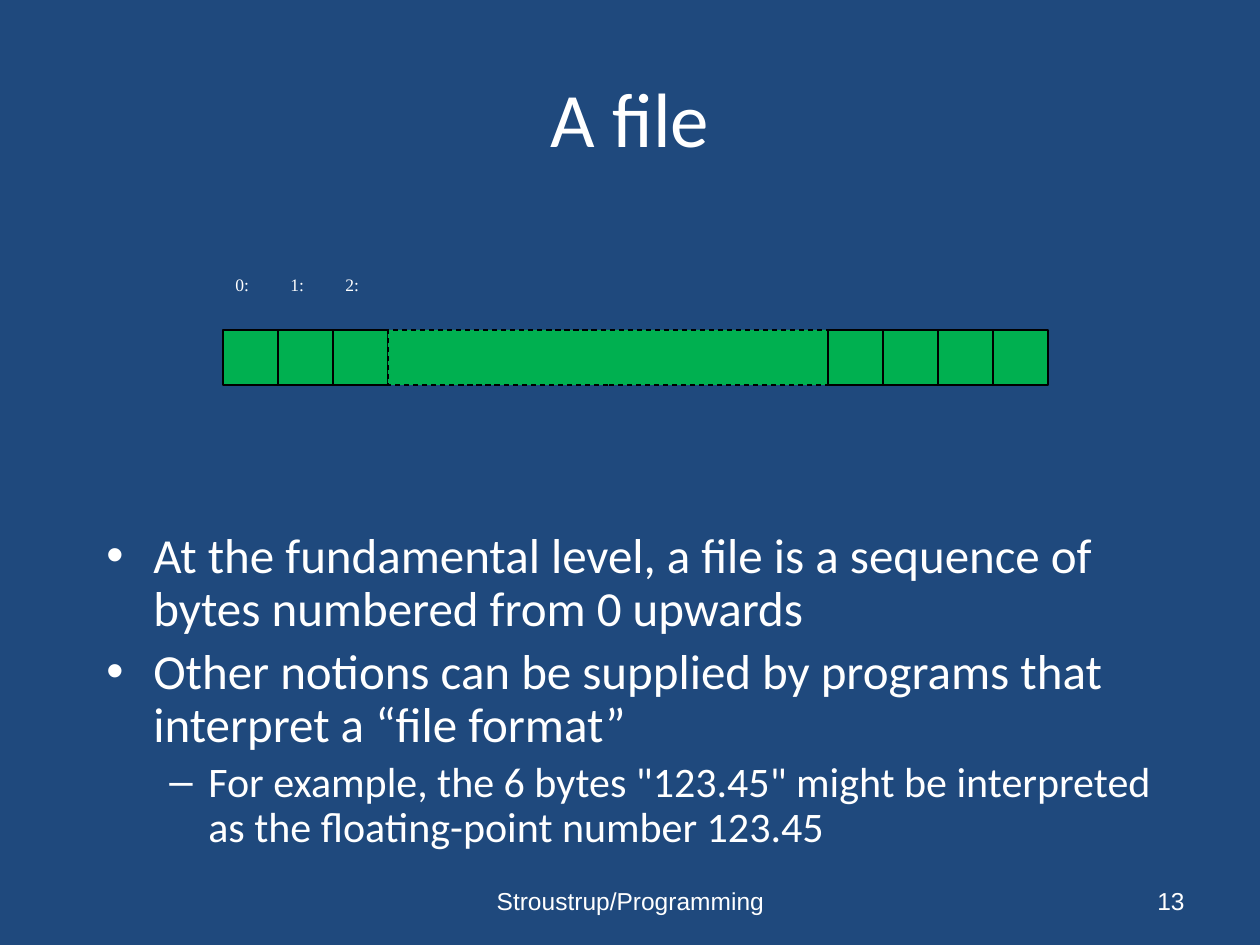
import pptx
import pptx.util
import pptx.dml.color
import pptx.enum.dml
import pptx.enum.shapes
import pptx.enum.text
import pptx.oxml
import pptx.oxml.ns

ALIGN = pptx.enum.text.PP_ALIGN
ANCHOR = pptx.enum.text.MSO_ANCHOR

# Content
TITLE = "A file"
BULLETS = [
    (0, "At the fundamental level, a file is a sequence of bytes numbered from 0 upwards"),
    (0, "Other notions can be supplied by programs that interpret a “file format”"),
    (1, "For example, the 6 bytes \"123.45\" might be interpreted "
        "as the floating-point number 123.45"),
]
BYTE_LABELS = ["0:", "1:", "2:"]
# Each part of the file: width in bytes, dashed outline
FILE_PARTS = [(1, False)] * 3 + [(8, True)] + [(1, False)] * 4
FOOTER = "Stroustrup/Programming"
PAGE_NUMBER = "13"

# Theme
THEME = {
    "background": "1F497D", "text": "FFFFFF", "byte": "00B050", "outline": "000000",
    "title": ("Calibri", 44), "label": ("Times New Roman", 10), "footer": ("Arial", 14),
    "levels": [
        {"font": ("Calibri", 28), "bullet": "•", "left": 47, "hanging": 47},
        {"font": ("Calibri", 24), "bullet": "–", "left": 102, "hanging": 39},
    ],
}

# Geometry in pixels
PIXELS_PER_INCH = 126
BYTE_SIZE = 55
FILE_LEFT, FILE_TOP = 223, 330
LABEL_TOP, LABEL_WIDTH = 268, 82


def px(length):
    return round(length * pptx.util.Inches(1) / PIXELS_PER_INCH)


def color(name):
    return pptx.dml.color.RGBColor.from_string(THEME[name])


def place(shape, area):
    shape.left, shape.top, shape.width, shape.height = map(px, area)


def write(para, text, font):
    span = para.add_run()
    span.text = text
    span.font.name, size = font
    span.font.size = pptx.util.Pt(size)
    span.font.color.rgb = color("text")


def add_text(area, text, font, align=ALIGN.LEFT, anchor=ANCHOR.TOP):
    box = page.shapes.add_textbox(*map(px, area))
    frame = box.text_frame
    frame.word_wrap = True
    frame.vertical_anchor = anchor
    frame.paragraphs[0].alignment = align
    write(frame.paragraphs[0], text, font)


def set_bullet(para, style):
    properties = para._p.get_or_add_pPr()
    properties.set("marL", str(px(style["left"])))
    properties.set("indent", str(-px(style["hanging"])))
    for tag, name, value in (("buFont", "typeface", "Arial"),
                             ("buChar", "char", style["bullet"])):
        item = pptx.oxml.parse_xml(f"<a:{tag} {pptx.oxml.ns.nsdecls('a')}/>")
        item.set(name, value)
        properties.append(item)


deck = pptx.Presentation()
deck.slide_width, deck.slide_height = px(1260), px(945)
page = deck.slides.add_slide(deck.slide_layouts[5])
page.background.fill.solid()
page.background.fill.fore_color.rgb = color("background")

# Title
title = page.shapes.title
place(title, (63, 38, 1134, 157))
title.text_frame.vertical_anchor = ANCHOR.MIDDLE
title.text_frame.paragraphs[0].alignment = ALIGN.CENTER
write(title.text_frame.paragraphs[0], TITLE, THEME["title"])

# Bullets
body = page.shapes.add_textbox(*map(px, (94, 525, 1072, 347))).text_frame
body.word_wrap = True
for index, (level, text) in enumerate(BULLETS):
    style = THEME["levels"][level]
    para = body.add_paragraph() if index else body.paragraphs[0]
    para.level = level
    para.line_spacing = 0.9
    para.space_before = pptx.util.Pt(style["font"][1] * 0.2)
    set_bullet(para, style)
    write(para, text, style["font"])

# File drawn as a row of bytes
left = FILE_LEFT
for byte_count, dashed in FILE_PARTS:
    width = byte_count * BYTE_SIZE
    part = page.shapes.add_shape(pptx.enum.shapes.MSO_SHAPE.RECTANGLE,
                                 *map(px, (left, FILE_TOP, width, BYTE_SIZE)))
    part.shadow.inherit = False
    part.fill.solid()
    part.fill.fore_color.rgb = color("byte")
    part.line.color.rgb = color("outline")
    part.line.width = pptx.util.Pt(0.75)
    if dashed:
        part.line.dash_style = pptx.enum.dml.MSO_LINE.DASH
    left += width

# Byte numbers
for index, label in enumerate(BYTE_LABELS):
    add_text((FILE_LEFT + index * BYTE_SIZE, LABEL_TOP, LABEL_WIDTH, BYTE_SIZE),
             label, THEME["label"])

# Footer and page number
add_text((431, 876, 399, 50), FOOTER, THEME["footer"], ALIGN.CENTER, ANCHOR.MIDDLE)
add_text((903, 876, 294, 50), PAGE_NUMBER, THEME["footer"], ALIGN.RIGHT, ANCHOR.MIDDLE)

deck.save("out.pptx")
